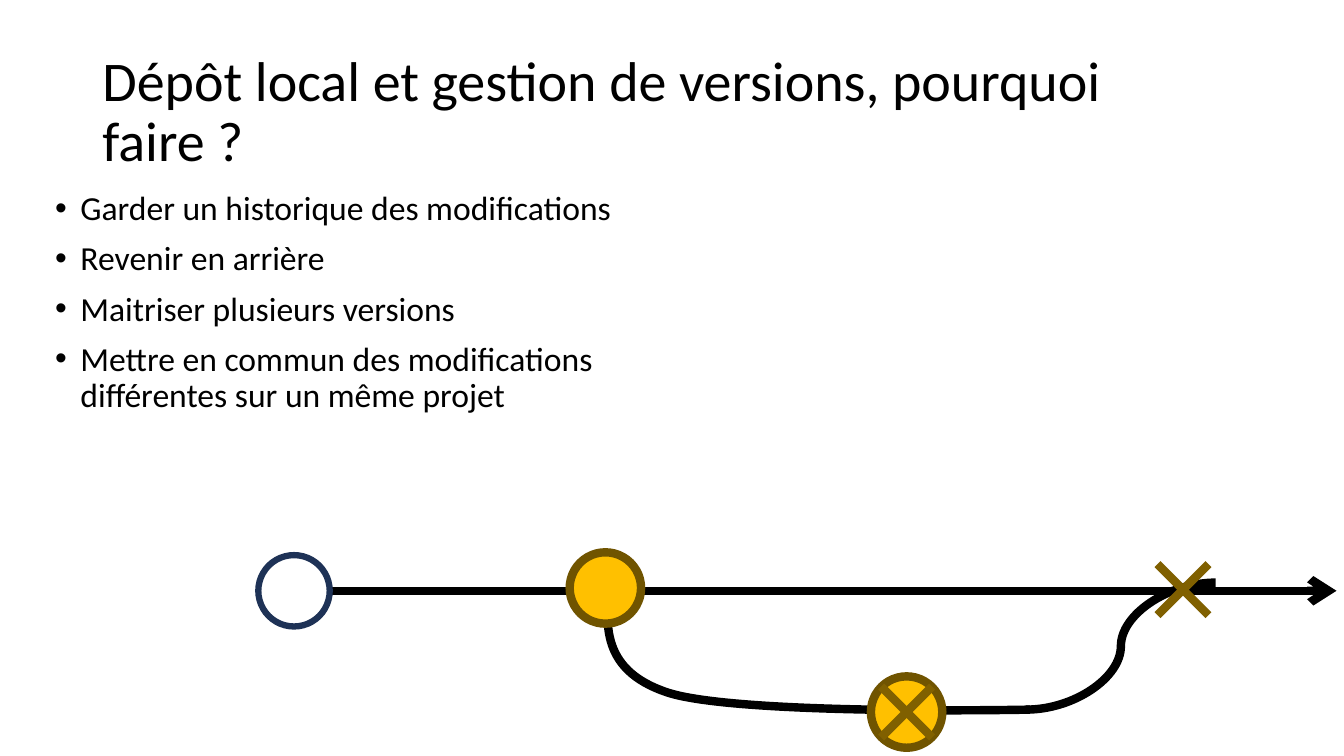
from pptx import Presentation
from pptx.dml.color import RGBColor
from pptx.enum.shapes import MSO_CONNECTOR, MSO_SHAPE
from pptx.enum.text import MSO_ANCHOR, PP_ALIGN
from pptx.oxml.ns import qn
from pptx.util import Pt
from lxml.etree import SubElement

BLACK = RGBColor(0x00, 0x00, 0x00)
WHITE = RGBColor(0xFF, 0xFF, 0xFF)
NAVY = RGBColor(0x1E, 0x32, 0x56)
GOLD = RGBColor(0xFF, 0xC0, 0x00)
BROWN = RGBColor(0x70, 0x54, 0x00)
OCHRE = RGBColor(0x80, 0x60, 0x00)

TITLE = "Dépôt local et gestion de versions, pourquoi faire ?"
POINTS = [
    "Garder un historique des modifications",
    "Revenir en arrière",
    "Maitriser plusieurs versions",
    "Mettre en commun des modifications différentes sur un même projet",
]
DOT = 51  # commit diameter
ARM = 18.2  # half the side of a cross
WIDTH = 6  # line width


def style(font, size):
    for name, value in {"name": "Calibri", "size": Pt(size)}.items():
        setattr(font, name, value)
    font.color.rgb = BLACK


def place(shape, box):
    for name, value in zip(("left", "top", "width", "height"), box):
        setattr(shape, name, Pt(value))


def add_title(slide, box):
    title = slide.shapes.title
    place(title, box)
    frame = title.text_frame
    frame.text = TITLE
    frame.vertical_anchor = MSO_ANCHOR.MIDDLE
    para = frame.paragraphs[0]
    para.alignment = PP_ALIGN.LEFT
    para.line_spacing = 0.9
    style(para.runs[0].font, 40)


def add_list(slide, box):
    frame = slide.shapes.add_textbox(*map(Pt, box)).text_frame
    frame.word_wrap = True
    for i, text in enumerate(POINTS):
        para = frame.add_paragraph() if i else frame.paragraphs[0]
        para.line_spacing = 0.9
        if i:
            para.space_before = Pt(10)
        props = para._p.get_or_add_pPr()
        props.set("marL", str(Pt(18)))
        props.set("indent", str(-Pt(18)))
        SubElement(props, qn("a:buFont"), typeface="Arial")
        SubElement(props, qn("a:buChar"), char="•")
        run = para.add_run()
        run.text = text
        style(run.font, 24)


def add_line(slide, start, end, color, kind=MSO_CONNECTOR.STRAIGHT):
    line = slide.shapes.add_connector(kind, *map(Pt, (*start, *end)))
    line.line.color.rgb = color
    line.line.width = Pt(WIDTH)
    SubElement(line._element.spPr, qn("a:effectLst"))
    return line


def add_dot(slide, x, y, fill, edge, width):
    box = (x - DOT / 2, y - DOT / 2, DOT, DOT)
    dot = slide.shapes.add_shape(MSO_SHAPE.OVAL, *map(Pt, box))
    dot.shadow.inherit = False
    dot.fill.solid()
    dot.fill.fore_color.rgb = fill
    dot.line.color.rgb = edge
    dot.line.width = Pt(width)


def add_cross(slide, x, y):
    for side in (1, -1):
        add_line(slide, (x - side * ARM, y - ARM),
                 (x + side * ARM, y + ARM), OCHRE)


def add_branch(slide, points):
    """Draw a Bézier path: a start point, then three points per curve."""
    first, *rest = [(Pt(x), Pt(y)) for x, y in points]
    build = slide.shapes.build_freeform(*first)
    build.add_line_segments(rest, close=False)
    branch = build.convert_to_shape()
    branch.shadow.inherit = False
    branch.fill.background()
    branch.line.color.rgb = BLACK
    branch.line.width = Pt(WIDTH)
    # Turn each three line ends into one cubic curve
    trace = next(branch._element.iter(qn("a:path")))
    ends = trace.findall(qn("a:lnTo"))
    for i, end in enumerate(ends):
        if i % 3 == 0:
            curve = SubElement(trace, qn("a:cubicBezTo"))
        curve.append(end[0])
        trace.remove(end)


def add_graph(slide, box):
    left, top, wide, _ = box

    def at(x, y):
        return left + x, top + y

    # Branch leaving the fork
    add_branch(slide, [at(*p) for p in (
        (253, 11.5), (248, 46.8), (243, 82), (292.6, 98.6),
        (342.3, 115.2), (551.8, 110.9), (551.8, 110.9))])

    # Main line
    trunk = add_line(slide, at(24.8, 26), at(wide, 26), BLACK)
    SubElement(trunk.line._get_or_add_ln(), qn("a:tailEnd"), type="arrow")

    # Commits
    for x, y, fill, edge, width in (
            (26, 26, WHITE, NAVY, 4.5),
            (248.4, 24, GOLD, BROWN, WIDTH),
            (463.6, 112.6, GOLD, BROWN, WIDTH)):
        add_dot(slide, *at(x, y), fill, edge, width)
    add_cross(slide, *at(463.6, 112.6))

    # Merge back into the main line
    add_line(slide, at(549, 110.9), at(684.3, 20.2), BLACK,
             MSO_CONNECTOR.CURVE)
    add_cross(slide, *at(661, 25.2))


def main():
    deck = Presentation()
    deck.slide_width, deck.slide_height = Pt(960), Pt(540)
    slide = deck.slides.add_slide(deck.slide_layouts[5])
    add_title(slide, (66, 28.8, 828, 104.4))
    add_list(slide, (32.4, 133.2, 432, 342.7))
    add_graph(slide, (184, 396, 770.7, 139))
    deck.save("out.pptx")


if __name__ == "__main__":
    main()
